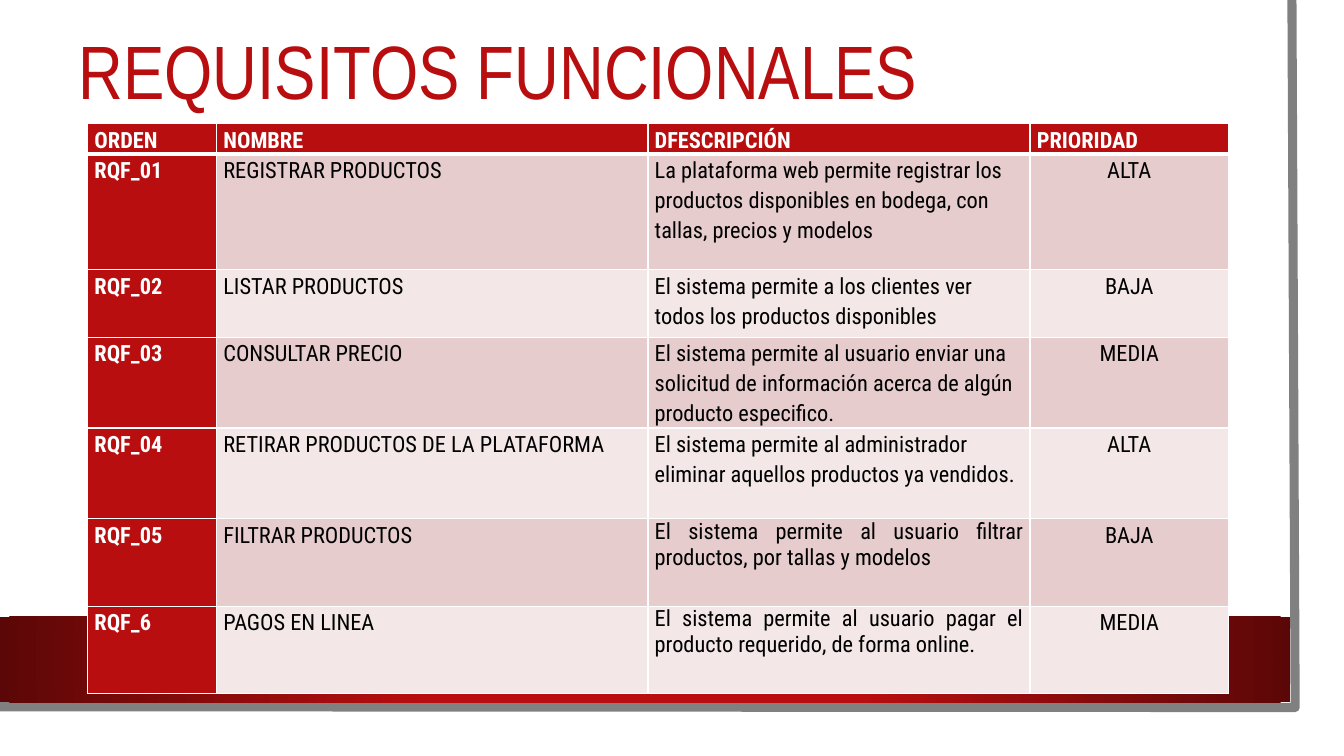
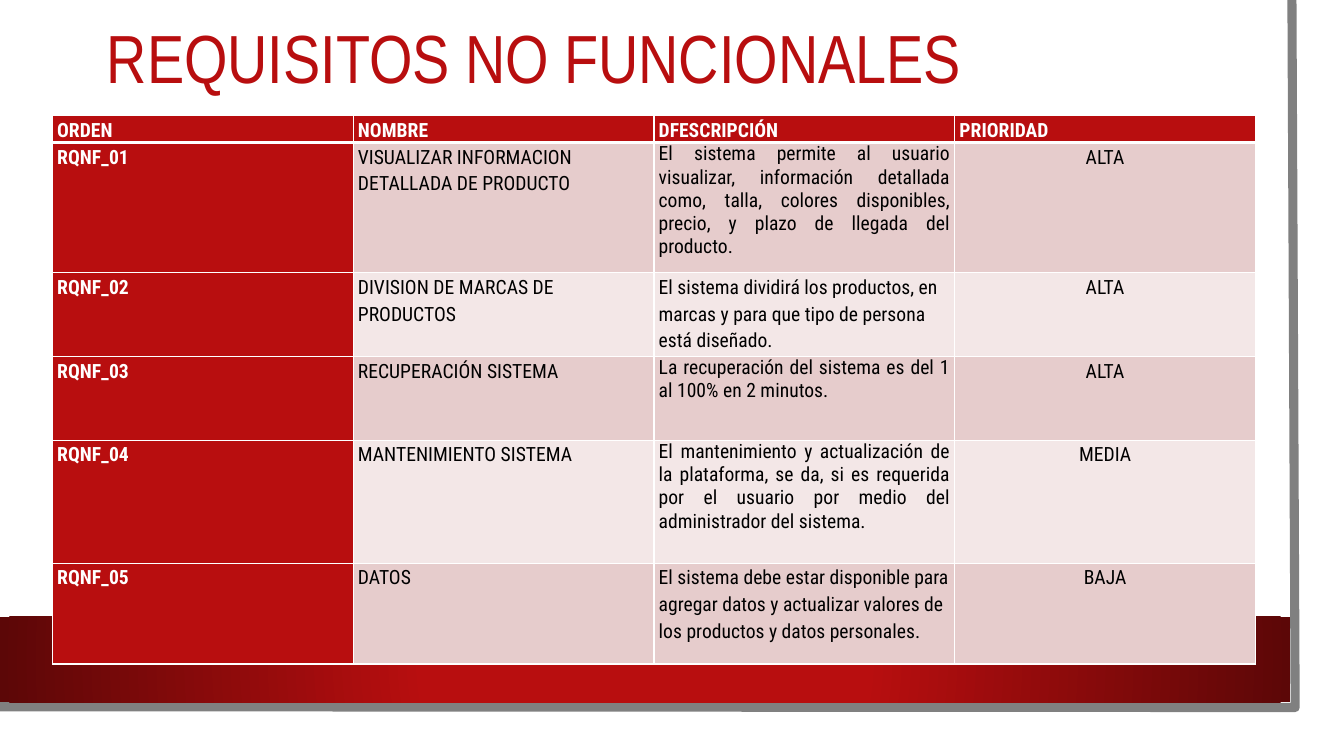
from dataclasses import dataclass

from lxml.etree import SubElement
from pptx import Presentation
from pptx.dml.color import RGBColor
from pptx.enum.shapes import MSO_SHAPE
from pptx.enum.text import MSO_ANCHOR, MSO_AUTO_SIZE, PP_ALIGN
from pptx.oxml import parse_xml
from pptx.oxml.ns import nsdecls, qn
from pptx.util import Cm, Pt


@dataclass(frozen=True)
class Theme:
    red: str = "B80E0F"
    dark_red: str = "5C0707"
    grey: str = "808080"
    white: str = "FFFFFF"
    black: str = "000000"
    bands: tuple = ("E6CCCC", "F3E7E7")
    title_font: str = "Arial Narrow"
    body_font: str = "Roboto Condensed"
    frame_line: float = 6.5
    grid_line: float = 1
    header_line: float = 3
    title_spacing: float = 0.9
    cell_spacing: float = 1.15


@dataclass(frozen=True)
class Box:
    """Position and size in centimetres."""
    left: float
    top: float
    width: float
    height: float

    def lengths(self):
        return Cm(self.left), Cm(self.top), Cm(self.width), Cm(self.height)


@dataclass(frozen=True)
class Requirement:
    order: str
    name: str
    description: str
    priority: str
    height: float
    justified: bool = False


@dataclass(frozen=True)
class RequirementsPage:
    title: str
    title_box: Box
    title_size: float
    table_box: Box
    columns: tuple
    header_height: float
    text_size: float
    inset: float
    requirements: tuple


THEME = Theme()
SLIDE = Box(0, 0, 33.87, 19.05)
HEADINGS = ("ORDEN", "NOMBRE", "DFESCRIPCIÓN", "PRIORIDAD")

PAGES = (
    RequirementsPage(
        title="REQUISITOS FUNCIONALES",
        title_box=Box(1.73, 0.3, 28.88, 3.2),
        title_size=54,
        table_box=Box(2.21, 3.12, 28.75, 14.4),
        columns=(3.25, 10.87, 9.63, 5),
        header_height=0.56,
        text_size=16,
        inset=0.17,
        requirements=(
            Requirement("RQF_01", "REGISTRAR PRODUCTOS",
                        "La plataforma web permite registrar los productos "
                        "disponibles en bodega, con tallas, precios y modelos",
                        "ALTA", 2.92),
            Requirement("RQF_02", "LISTAR PRODUCTOS",
                        "El sistema permite a los clientes ver todos los "
                        "productos disponibles", "BAJA", 1.7),
            Requirement("RQF_03", "CONSULTAR PRECIO",
                        "El sistema permite al usuario enviar una solicitud de "
                        "información acerca de algún producto especifico.",
                        "MEDIA", 2.29),
            Requirement("RQF_04", "RETIRAR PRODUCTOS DE LA PLATAFORMA",
                        "El sistema permite al administrador eliminar aquellos "
                        "productos ya vendidos.", "ALTA", 2.29),
            Requirement("RQF_05", "FILTRAR PRODUCTOS",
                        "El sistema permite al usuario filtrar productos, por "
                        "tallas y modelos", "BAJA", 2.2, True),
            Requirement("RQF_6", "PAGOS EN LINEA",
                        "El sistema permite al usuario pagar el producto "
                        "requerido, de forma online.", "MEDIA", 2.2, True),
        ),
    ),
    RequirementsPage(
        title="REQUISITOS NO FUNCIONALES",
        title_box=Box(2.44, 0.71, 29.21, 1.7),
        title_size=48.6,
        table_box=Box(1.32, 2.92, 30.32, 13.9),
        columns=(7.58,) * 4,
        header_height=0.43,
        text_size=14,
        inset=0.12,
        requirements=(
            Requirement("RQNF_01", "VISUALIZAR INFORMACION DETALLADA DE PRODUCTO",
                        "El sistema permite al usuario visualizar, información "
                        "detallada como, talla, colores disponibles, precio, y "
                        "plazo de llegada del producto.", "ALTA", 3.28, True),
            Requirement("RQNF_02", "DIVISION DE MARCAS DE PRODUCTOS",
                        "El sistema dividirá los productos, en marcas y para "
                        "que tipo de persona está diseñado.", "ALTA", 2.11),
            Requirement("RQNF_03", "RECUPERACIÓN SISTEMA",
                        "La recuperación del sistema es del 1 al 100% en 2 "
                        "minutos.", "ALTA", 2.11, True),
            Requirement("RQNF_04", "MANTENIMIENTO SISTEMA",
                        "El mantenimiento y actualización de la plataforma, se "
                        "da, si es requerida por el usuario por medio del "
                        "administrador del sistema.", "MEDIA", 3.1, True),
            Requirement("RQNF_05", "DATOS",
                        "El sistema debe estar disponible para agregar datos y "
                        "actualizar valores de los productos y datos "
                        "personales.", "BAJA", 2.54),
        ),
    ),
)


def rgb(colour):
    return RGBColor.from_string(colour)


def add_run(paragraph, text, font, size, colour, bold=False):
    run = paragraph.add_run()
    run.text = text
    run.font.name = font
    run.font.size = Pt(size)
    run.font.bold = bold
    run.font.color.rgb = rgb(colour)


def add_rectangle(shapes, box):
    rectangle = shapes.add_shape(MSO_SHAPE.RECTANGLE, *box.lengths())
    rectangle.shadow.inherit = False
    rectangle.line.fill.background()
    return rectangle


def glow_fill(shape, centre, edge):
    """Fill the shape with a round gradient that darkens towards its edge."""
    gradient = parse_xml(
        f'<a:gradFill {nsdecls("a")} rotWithShape="1"><a:gsLst>'
        f'<a:gs pos="34000"><a:srgbClr val="{centre}"/></a:gs>'
        f'<a:gs pos="100000"><a:srgbClr val="{edge}"/></a:gs></a:gsLst>'
        '<a:path path="circle">'
        '<a:fillToRect l="50000" t="50000" r="50000" b="50000"/>'
        '</a:path></a:gradFill>')
    shape.element.spPr.find(qn("a:prstGeom")).addnext(gradient)


def add_backdrop(shapes, box):
    """Draw the paper, its grey edge and the red band; return them in order."""
    paper = add_rectangle(
        shapes, Box(box.left, box.top, box.width - 0.6, box.height - 0.58))
    paper.fill.solid()
    paper.fill.fore_color.rgb = rgb(THEME.white)

    right, bottom = box.left + box.width, box.top + box.height
    outline = shapes.build_freeform(Cm(right - 1.31), Cm(box.top))
    outline.add_line_segments(
        [(Cm(right - 1.23), Cm(bottom - 1.22)),
         (Cm(box.left - 0.08), Cm(bottom - 1.24))], close=False)
    edge = outline.convert_to_shape()
    edge.shadow.inherit = False
    edge.fill.background()
    edge.line.color.rgb = rgb(THEME.grey)
    edge.line.width = Pt(THEME.frame_line)

    band = add_rectangle(
        shapes, Box(box.left, bottom - 3.51, box.width - 1.36, 2.16))
    glow_fill(band, THEME.red, THEME.dark_red)
    return paper, edge, band


def move_to_layout(parts, layout):
    """Put the parts behind everything else on the layout, without its footers."""
    for placeholder in list(layout.placeholders):
        if placeholder.placeholder_format.idx:
            layout.shapes.element.remove(placeholder.element)
    for position, part in enumerate(parts, start=2):
        layout.shapes.element.insert(position, part.element)


def set_title(slide, text, box, size):
    title = slide.shapes.title
    title.left, title.top, title.width, title.height = box.lengths()
    frame = title.text_frame
    frame.word_wrap = True
    frame.auto_size = MSO_AUTO_SIZE.NONE
    frame.vertical_anchor = MSO_ANCHOR.MIDDLE
    paragraph = frame.paragraphs[0]
    paragraph.alignment = PP_ALIGN.LEFT
    paragraph.line_spacing = THEME.title_spacing
    add_run(paragraph, text, THEME.title_font, size, THEME.red)


def set_borders(cell, top, bottom):
    properties = cell._tc.get_or_add_tcPr()
    widths = {"L": THEME.grid_line, "R": THEME.grid_line, "T": top, "B": bottom}
    for side, width in widths.items():
        line = SubElement(properties, qn(f"a:ln{side}"), w=str(Pt(width)))
        fill = SubElement(line, qn("a:solidFill"))
        SubElement(fill, qn("a:srgbClr"), val=THEME.white)


def fill_cell(cell, text, page, row, column, justified):
    strong = row == 0 or column == 0
    set_borders(cell,
                THEME.header_line if row == 1 else THEME.grid_line,
                THEME.header_line if row == 0 else THEME.grid_line)
    cell.fill.solid()
    cell.fill.fore_color.rgb = rgb(
        THEME.red if strong else THEME.bands[(row - 1) % 2])
    cell.margin_left = cell.margin_right = Cm(page.inset)
    cell.margin_top = cell.margin_bottom = 0
    cell.vertical_anchor = MSO_ANCHOR.TOP

    paragraph = cell.text_frame.paragraphs[0]
    paragraph.alignment = PP_ALIGN.LEFT
    paragraph.line_spacing = THEME.cell_spacing
    if column == 2 and justified:
        paragraph.alignment = PP_ALIGN.JUSTIFY
        paragraph.line_spacing = 1.0
    elif column == 3 and row > 0:
        paragraph.alignment = PP_ALIGN.CENTER
    add_run(paragraph, text, THEME.body_font, page.text_size,
            THEME.white if strong else THEME.black, strong)


def add_requirements_table(slide, page, box):
    table = slide.shapes.add_table(
        len(page.requirements) + 1, len(HEADINGS), *box.lengths()).table
    table.first_col = True
    table.horz_banding = False
    for column, width in zip(table.columns, page.columns):
        column.width = Cm(width)
    header = Requirement(*HEADINGS, page.header_height)
    for row, entry in enumerate((header, *page.requirements)):
        table.rows[row].height = Cm(entry.height)
        texts = (entry.order, entry.name, entry.description, entry.priority)
        for column, text in enumerate(texts):
            fill_cell(table.cell(row, column), text, page, row, column,
                      entry.justified)


def add_requirements_slide(slide, page):
    set_title(slide, page.title, page.title_box, page.title_size)
    add_requirements_table(slide, page, page.table_box)


def main():
    presentation = Presentation()
    presentation.slide_width = Cm(SLIDE.width)
    presentation.slide_height = Cm(SLIDE.height)
    layout = presentation.slide_layouts.get_by_name("Title Only")
    slides = [presentation.slides.add_slide(layout) for _ in PAGES]
    move_to_layout(add_backdrop(slides[0].shapes, SLIDE), layout)
    for slide, page in zip(slides, PAGES):
        add_requirements_slide(slide, page)
    presentation.save("out.pptx")


if __name__ == "__main__":
    main()
